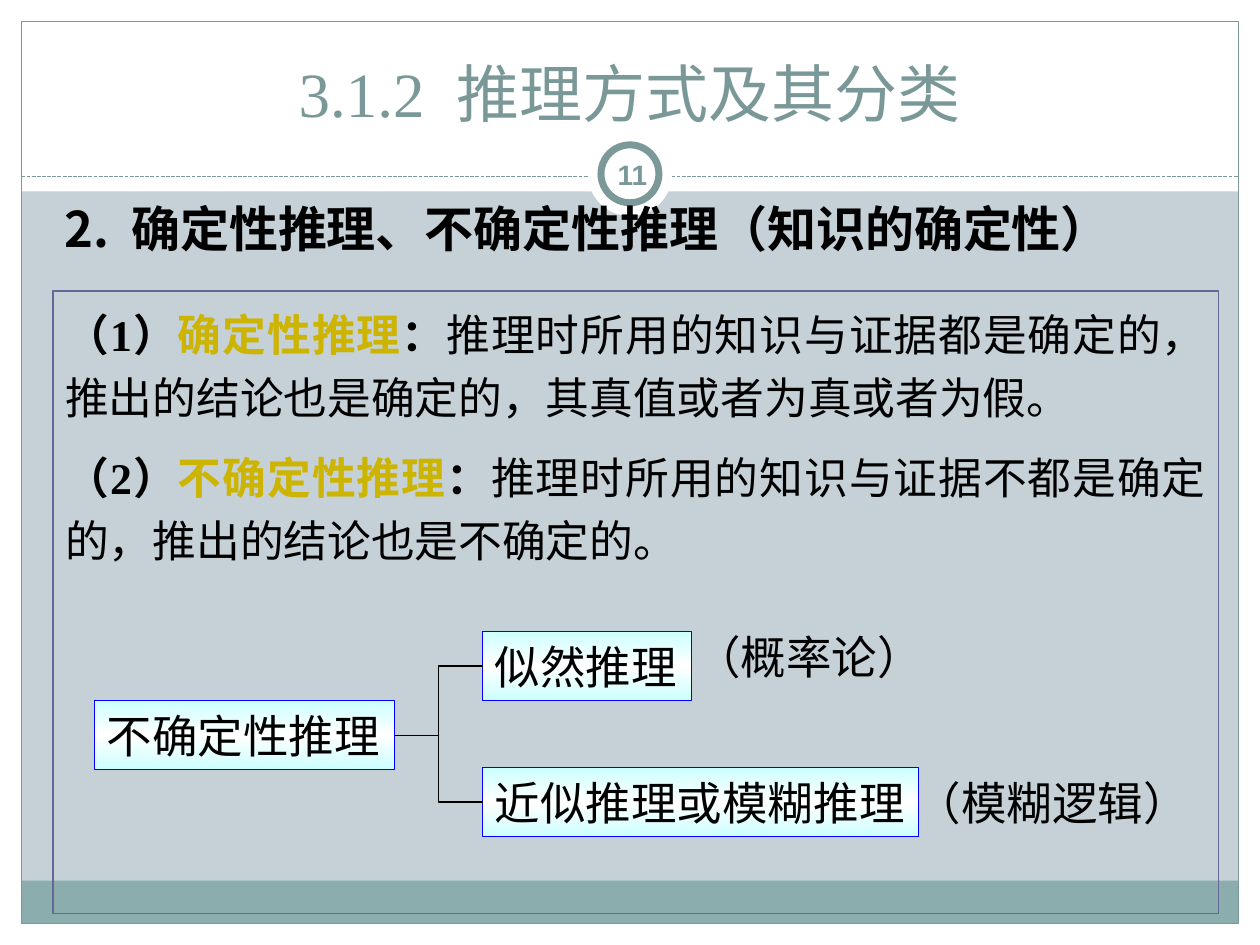
import pptx
import pptx.util
import pptx.dml.color
import pptx.enum.dml
import pptx.enum.shapes
import pptx.enum.text
import pptx.oxml
import pptx.oxml.ns
from lxml import etree

Inches, Pt = pptx.util.Inches, pptx.util.Pt
SHAPES = pptx.enum.shapes.MSO_SHAPE
CONNECTORS = pptx.enum.shapes.MSO_CONNECTOR
ALIGN = pptx.enum.text.PP_ALIGN
ANCHOR = pptx.enum.text.MSO_ANCHOR

WIDTH, HEIGHT, MARGIN = 10, 7.5, 0.17
CJK, SERIF, SANS = "Noto Sans CJK SC", "Times New Roman", "Arial"
COLORS = {"background": "C5D1D7", "white": "FFFFFF", "band": "8CADAE", "frame": "7C999A",
          "title": "7B9899", "text": "000000", "key": "CCB400", "panel": "666699",
          "box_line": "0000FF", "box_edge": "CCFFFF"}

TITLE = "3.1.2  推理方式及其分类"
HEADING = "2.  确定性推理、不确定性推理（知识的确定性）"
PAGE = "11"
DEFINITIONS = [
    ("（1）", "确定性推理", "推理时所用的知识与证据都是确定的，推出的结论也是确定的，其真值或者为真或者为假。"),
    ("（2）", "不确定性推理", "推理时所用的知识与证据不都是确定的，推出的结论也是不确定的。"),
]
BOX_HEIGHT = 0.55
ROOT = ("不确定性推理", 0.75, 5.56, 2.38)
BRANCHES = [("近似推理或模糊推理", 3.83, 6.09, 3.46), ("似然推理", 3.83, 5.01, 1.66)]
NOTES = [("（概率论）", 5.42, 4.94, 2.01), ("（模糊逻辑）", 7.17, 6.1, 2.37)]


def rgb(name):
    return pptx.dml.color.RGBColor.from_string(COLORS[name])


def set_font(font, name, size, color, bold=False):
    font.name, font.size, font.bold = name, Pt(size), bold
    font.color.rgb = rgb(color)
    properties = font._element if hasattr(font, "_element") else font._rPr
    latin = properties.find(pptx.oxml.ns.qn("a:latin"))
    east_asian = etree.Element(pptx.oxml.ns.qn("a:ea"), typeface=CJK)
    latin.addnext(east_asian)


def add_shape(slide, kind, place, fill=None, line=None, weight=0.75):
    shape = slide.shapes.add_shape(kind, *map(Inches, place))
    shape.shadow.inherit = False
    if fill:
        shape.fill.solid()
        shape.fill.fore_color.rgb = rgb(fill)
    else:
        shape.fill.background()
    if line:
        shape.line.color.rgb = rgb(line)
        shape.line.width = Pt(weight)
    else:
        shape.line.fill.background()
    return shape


def add_connector(slide, kind, start, end, color):
    line = slide.shapes.add_connector(kind, *map(Inches, start + end))
    line.line.color.rgb = rgb(color)
    line.line.width = Pt(0.75)
    etree.SubElement(line._element.spPr, pptx.oxml.ns.qn("a:effectLst"))
    return line


def write(shape, text, name, size, color, bold=False, align=ALIGN.LEFT, wrap=False):
    shape.text_frame.word_wrap = wrap
    paragraph = shape.text_frame.paragraphs[0]
    paragraph.text = text
    paragraph.alignment = align
    set_font(paragraph.runs[0].font, name, size, color, bold)
    return paragraph


def add_text(slide, place, *style, **options):
    box = slide.shapes.add_textbox(*map(Inches, place))
    return box, write(box, *style, **options)


def fill_gradient(shape):
    """Vertical blend: tinted edges with a white middle."""
    stops = "".join(f'<a:gs pos="{position}"><a:srgbClr val="{COLORS[name]}"/></a:gs>'
                    for position, name in ((0, "box_edge"), (50000, "white"), (100000, "box_edge")))
    gradient = pptx.oxml.parse_xml(
        f'<a:gradFill {pptx.oxml.ns.nsdecls("a")}><a:gsLst>{stops}</a:gsLst>'
        '<a:lin ang="5400000" scaled="1"/></a:gradFill>')
    properties = shape._element.spPr
    properties.replace(properties.find(pptx.oxml.ns.qn("a:noFill")), gradient)


def add_frame(slide):
    inner_width, inner_height = WIDTH - 2 * MARGIN, HEIGHT - 2 * MARGIN
    for place in ((0, HEIGHT - MARGIN, WIDTH, MARGIN), (0, 0, WIDTH, 1.52),
                  (0, 0, MARGIN, HEIGHT), (WIDTH - MARGIN, 0, MARGIN, HEIGHT)):
        add_shape(slide, SHAPES.RECTANGLE, place, "white")
    add_shape(slide, SHAPES.RECTANGLE, (MARGIN, 6.99, inner_width, 0.34), "band")
    add_shape(slide, SHAPES.RECTANGLE, (MARGIN, MARGIN, inner_width, inner_height), line="frame")
    rule = add_connector(slide, CONNECTORS.STRAIGHT, (MARGIN, 1.4), (WIDTH - MARGIN, 1.4), "frame")
    rule.line.dash_style = pptx.enum.dml.MSO_LINE.SQUARE_DOT
    for diameter, line in ((0.67, None), (0.46, "frame")):
        place = ((WIDTH - diameter) / 2, 1.38 - diameter / 2, diameter, diameter)
        add_shape(slide, SHAPES.OVAL, place, "white", line, 4)


def add_titles(slide):
    title = slide.shapes.title
    slide.shapes._spTree.append(title._element)  # bring in front of the frame
    title.left, title.top, title.width, title.height = map(Inches, (0.33, 0.25, 9.33, 0.83))
    title.text_frame.vertical_anchor = ANCHOR.BOTTOM
    title.text_frame.auto_size = pptx.enum.text.MSO_AUTO_SIZE.NONE
    write(title, TITLE, SERIF, 36, "title", align=ALIGN.CENTER, wrap=True)

    heading, paragraph = add_text(slide, (0.32, 1.58, 9.45, 0.59), HEADING, CJK, 28, "text",
                                  bold=True, wrap=True)
    heading.text_frame.margin_left = Inches(0.19)
    paragraph.line_spacing = 0.9

    page, paragraph = add_text(slide, (4.77, 1.12, 0.5, 0.48), PAGE, SANS, 16, "title",
                               bold=True, align=ALIGN.CENTER, wrap=True)
    frame = page.text_frame
    frame.margin_left = frame.margin_right = frame.margin_top = frame.margin_bottom = Inches(0.05)
    frame.vertical_anchor = ANCHOR.MIDDLE
    paragraph.line_spacing = 1.2


def add_tree(slide):
    boxes = []
    for text, left, top, width in [ROOT] + BRANCHES:
        box = add_shape(slide, SHAPES.RECTANGLE, (left, top, width, BOX_HEIGHT), line="box_line")
        fill_gradient(box)
        write(box, text, SANS, 26, "text")
        boxes.append(box)
    root, *branches = boxes
    for branch in branches:
        link = add_connector(slide, CONNECTORS.ELBOW, (0, 0), (1, 1), "text")
        link.begin_connect(root, 3)
        link.end_connect(branch, 1)
    for text, left, top, width in NOTES:
        add_text(slide, (left, top, width, 0.53), text, SANS, 26, "text")


def add_definitions(slide):
    panel = add_shape(slide, SHAPES.RECTANGLE, (0.42, 2.31, 9.25, 4.94), line="panel")
    frame = panel.text_frame
    frame.word_wrap = True
    frame.vertical_anchor = ANCHOR.TOP
    for index, (number, term, meaning) in enumerate(DEFINITIONS):
        paragraph = frame.add_paragraph() if index else frame.paragraphs[0]
        paragraph.alignment = ALIGN.JUSTIFY
        paragraph.line_spacing = 1.2
        if index:
            paragraph.space_before = Pt(10)
        for text, color, bold in ((number, "text", True), (term, "key", True),
                                  ("：", "text", True), (meaning, "text", False)):
            run = paragraph.add_run()
            run.text = text
            set_font(run.font, SERIF, 25, color, bold)


def main():
    presentation = pptx.Presentation()
    presentation.slide_width, presentation.slide_height = Inches(WIDTH), Inches(HEIGHT)
    slide = presentation.slides.add_slide(presentation.slide_layouts[5])
    slide.background.fill.solid()
    slide.background.fill.fore_color.rgb = rgb("background")
    add_frame(slide)
    add_titles(slide)
    add_tree(slide)
    add_definitions(slide)
    presentation.save("out.pptx")


if __name__ == "__main__":
    main()
